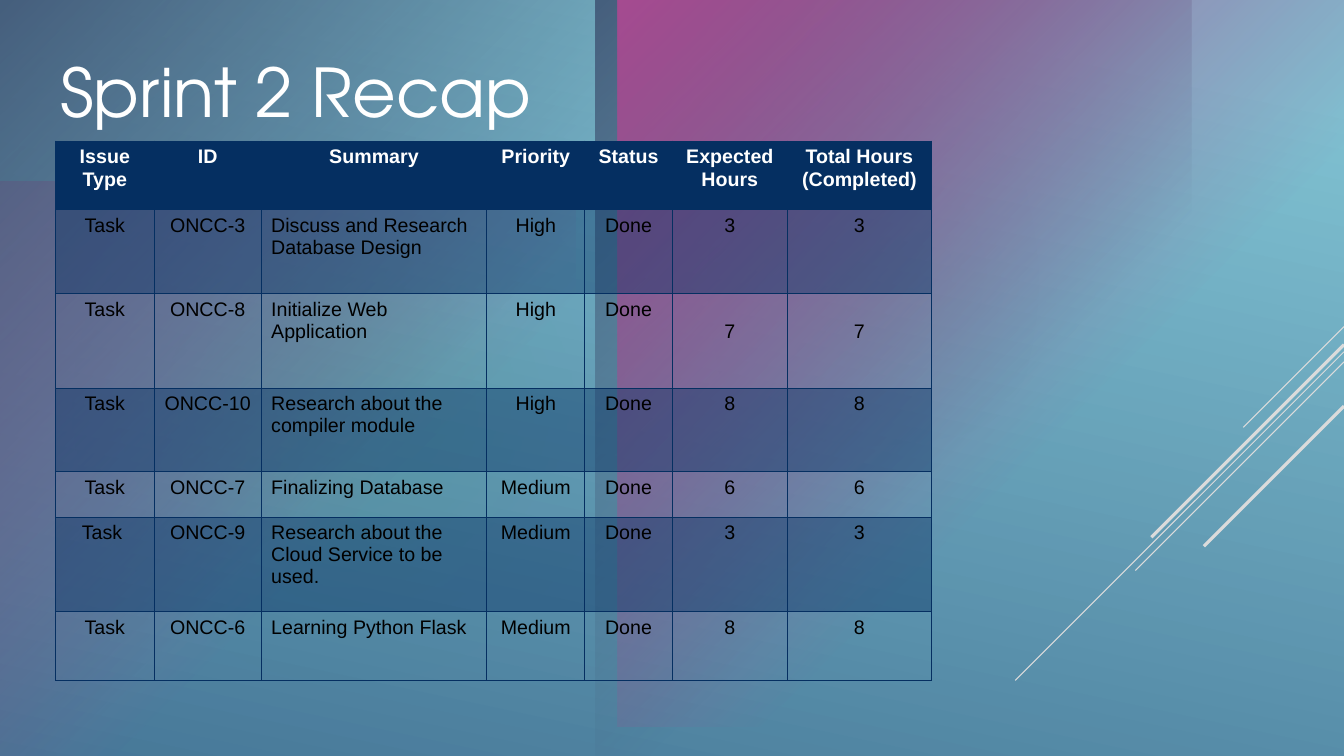
"""Builds the Sprint 2 Recap slide: a task table over a layered gradient backdrop."""
from dataclasses import dataclass

from lxml.etree import SubElement
from pptx import Presentation
from pptx.dml.color import RGBColor
from pptx.enum.shapes import MSO_CONNECTOR as Connector, MSO_SHAPE as Shape
from pptx.enum.text import MSO_ANCHOR as Anchor, MSO_AUTO_SIZE as AutoSize, PP_ALIGN as Align
from pptx.oxml import parse_xml
from pptx.oxml.ns import nsdecls, qn
from pptx.util import Inches, Pt


@dataclass(frozen=True)
class Theme:
    """Colours, fonts and type sizes of the slide."""
    navy: str = "052F61"
    magenta: str = "A50E82"
    green: str = "14967C"
    sky: str = "66D3EE"
    ocean: str = "06588E"
    veil: str = "A7A7A7"
    white: str = "FFFFFF"
    black: str = "000000"
    title_font: str = "TeX Gyre Adventor"
    table_font: str = "Arial"
    title_size: int = 48
    table_size: int = 14
    hairline: float = 0.75
    heavy_line: float = 2.25


class SlideBuilder:
    """Draws themed elements on one slide."""

    def __init__(self, slide, theme):
        self.slide = slide
        self.theme = theme

    def paint(self, fill, color, alpha=100):
        fill.solid()
        fill.fore_color.rgb = RGBColor.from_string(color)
        return alpha

    def set_alpha(self, element, alpha):
        for color in element.iter(qn("a:srgbClr")):
            SubElement(color, qn("a:alpha")).set("val", str(alpha * 1000))

    def swap_gradient(self, owner, stops, direction):
        stop_xml = "".join(
            f'<a:gs pos="{position * 1000}"><a:srgbClr val="{color}">'
            f'<a:alpha val="{alpha * 1000}"/></a:srgbClr></a:gs>'
            for position, color, alpha in stops)
        gradient = parse_xml(
            f'<a:gradFill {nsdecls("a")} rotWithShape="1">'
            f'<a:gsLst>{stop_xml}</a:gsLst>{direction}</a:gradFill>')
        solid = next(owner.iter(qn("a:solidFill")))
        solid.getparent().replace(solid, gradient)

    def background(self, stops, angle):
        self.paint(self.slide.background.fill, self.theme.sky)
        self.swap_gradient(self.slide.element, stops,
                           f'<a:lin ang="{angle * 60000}" scaled="0"/>')

    def panel(self, kind, box, color, alpha=100):
        panel = self.slide.shapes.add_shape(kind, *map(Inches, box))
        panel.shadow.inherit = False
        panel.line.fill.background()
        self.paint(panel.fill, color)
        if alpha < 100:
            self.set_alpha(panel.element.spPr, alpha)
        return panel

    def corner_glow(self, box, color, alpha=100):
        glow = self.panel(Shape.RECTANGLE, box, color)
        self.swap_gradient(
            glow.element.spPr, [(0, color, alpha), (60, color, 0)],
            '<a:path path="circle"><a:fillToRect r="100000" b="100000"/></a:path>')

    def soft_disc(self, box, color, alpha):
        disc = self.panel(Shape.OVAL, box, color, alpha)
        effects = disc.element.spPr.find(qn("a:effectLst"))
        SubElement(effects, qn("a:softEdge")).set("rad", str(Inches(1.39)))

    def diagonal(self, start_y, length, weight):
        right = 13.33
        line = self.slide.shapes.add_connector(
            Connector.STRAIGHT, Inches(right), Inches(start_y),
            Inches(right - length), Inches(start_y + length))
        line.line.color.rgb = RGBColor.from_string(self.theme.white)
        line.line.width = Pt(weight)
        SubElement(line.element.spPr, qn("a:effectLst"))

    def style(self, paragraph, font, size, color, align, bold=False):
        paragraph.alignment = align
        paragraph.font.name = font
        paragraph.font.size = Pt(size)
        paragraph.font.bold = bold
        paragraph.font.color.rgb = RGBColor.from_string(color)

    def title(self, text, box):
        title = self.slide.shapes.title
        title.left, title.top, title.width, title.height = map(Inches, box)
        frame = title.text_frame
        frame.text = text
        frame.word_wrap = True
        frame.auto_size = AutoSize.NONE
        frame.vertical_anchor = Anchor.MIDDLE
        frame.margin_left = frame.margin_right = Inches(0.05)
        frame.margin_top = frame.margin_bottom = Inches(0.05)
        self.style(frame.paragraphs[0], self.theme.title_font,
                   self.theme.title_size, self.theme.white, Align.LEFT)
        self.slide.shapes.element.append(title.element)

    def cell_borders(self, cell):
        properties = cell._tc.get_or_add_tcPr()
        for side in ("lnL", "lnR", "lnT", "lnB"):
            properties.append(parse_xml(
                f'<a:{side} {nsdecls("a")} w="{Pt(self.theme.hairline)}"><a:solidFill>'
                f'<a:srgbClr val="{self.theme.navy}"/></a:solidFill></a:{side}>'))

    def table(self, rows, box, widths, heights, left_column):
        theme = self.theme
        table = self.slide.shapes.add_table(
            len(rows), len(widths), *map(Inches, box)).table
        table.horz_banding = False
        for column, width in zip(table.columns, widths):
            column.width = Inches(width)
        for r, (row, height) in enumerate(zip(rows, heights)):
            table.rows[r].height = Inches(height)
            header = r == 0
            for c, text in enumerate(row):
                cell = table.cell(r, c)
                cell.text = text
                self.cell_borders(cell)
                if header or r % 2:
                    self.paint(cell.fill, theme.navy)
                else:
                    cell.fill.background()
                if r % 2:
                    self.set_alpha(cell._tc.tcPr.find(qn("a:solidFill")), 40)
                align = Align.LEFT if c == left_column and not header else Align.CENTER
                for paragraph in cell.text_frame.paragraphs:
                    self.style(paragraph, theme.table_font, theme.table_size,
                               theme.white if header else theme.black, align, header)
        return table


TASKS = [
    ("Issue Type", "ID", "Summary", "Priority", "Status", "Expected Hours",
     "Total Hours\n(Completed)"),
    ("Task", "ONCC-3", "Discuss and Research Database Design", "High", "Done", "3", "3"),
    ("Task", "ONCC-8", "Initialize Web Application", "High", "Done", "7", "7"),
    ("Task", "ONCC-10", "Research about the compiler module", "High", "Done", "8", "8"),
    ("Task", "ONCC-7", "Finalizing Database", "Medium", "Done", "6", "6"),
    ("Task ", "ONCC-9", "Research about the Cloud Service to be used.", "Medium", "Done",
     "3", "3"),
    ("Task", "ONCC-6", "Learning Python Flask", "Medium", "Done", "8", "8"),
]


def main():
    theme = Theme()
    deck = Presentation()
    deck.slide_width, deck.slide_height = Inches(13.33), Inches(7.5)
    recap = SlideBuilder(deck.slides.add_slide(deck.slide_layouts[5]), theme)

    recap.background([(0, theme.sky, 100), (10, theme.sky, 100), (100, theme.ocean, 100)], 102)
    for start_y, length, weight in [
            (3.24, 1, theme.hairline), (3.49, 3.26, theme.hairline),
            (3.59, 2.07, theme.hairline), (3.42, 1.91, theme.heavy_line),
            (4.03, 1.39, theme.heavy_line)]:
        recap.diagonal(start_y, length, weight)
    recap.corner_glow((0, 1.8, 5.71, 5.71), theme.magenta, 60)
    recap.soft_disc((6.29, 0.43, 4.72, 4.72), theme.green, 60)
    recap.soft_disc((0, 0.56, 6.94, 6.94), theme.green, 20)
    for left in (0, 5.91):
        recap.corner_glow((left, 0, 5.91, 7.5), theme.navy)
    recap.corner_glow((6.13, 0, 7.21, 7.21), theme.magenta)
    recap.panel(Shape.RECTANGLE, (0, 0, 13.33, 7.5), theme.veil, 40)

    tasks = recap.table(
        TASKS, (0.55, 1.4, 8.69, 5.34), (0.98, 1.06, 2.24, 0.97, 0.87, 1.14, 1.43),
        (0.68, 0.83, 0.94, 0.83, 0.45, 0.94, 0.68), left_column=2)
    for hours_column in (5, 6):
        tasks.cell(2, hours_column).margin_top = Inches(0.27)
    recap.title("Sprint 2 Recap", (0.55, 0.4, 12.14, 0.99))
    deck.save("out.pptx")


if __name__ == "__main__":
    main()
